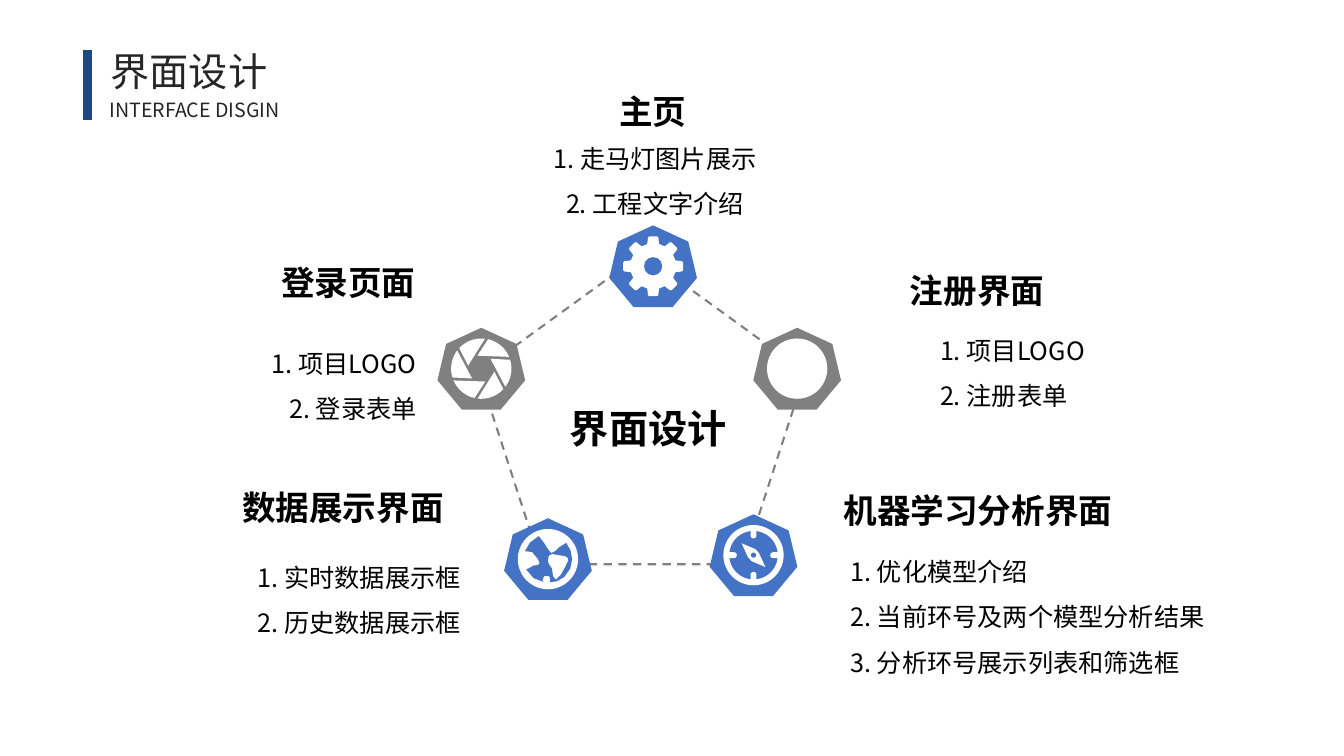
from math import cos, radians, sin

from lxml import etree
from pptx import Presentation
from pptx.dml.color import RGBColor
from pptx.enum.dml import MSO_LINE
from pptx.enum.shapes import MSO_CONNECTOR, MSO_SHAPE
from pptx.enum.text import MSO_ANCHOR, PP_ALIGN
from pptx.oxml.ns import qn
from pptx.util import Cm, Pt

LEFT, CENTER, RIGHT = PP_ALIGN.LEFT, PP_ALIGN.CENTER, PP_ALIGN.RIGHT
JUSTIFY = PP_ALIGN.JUSTIFY
TOP, MIDDLE = MSO_ANCHOR.TOP, MSO_ANCHOR.MIDDLE
PENTAGON, HEPTAGON = MSO_SHAPE.REGULAR_PENTAGON, MSO_SHAPE.HEPTAGON
OVAL, ROUNDED = MSO_SHAPE.OVAL, MSO_SHAPE.ROUNDED_RECTANGLE
STRAIGHT, DASH = MSO_CONNECTOR.STRAIGHT, MSO_LINE.DASH

FONT = "Noto Sans CJK SC"
BLUE, GRAY, WHITE = "4472C4", "808080", "FFFFFF"
NAVY, BLACK, DARK = "1C4885", "000000", "262626"
rgb = RGBColor.from_string

presentation = Presentation()
presentation.slide_width, presentation.slide_height = Cm(33.87), Cm(19.05)
slide = presentation.slides.add_slide(presentation.slide_layouts[6])


def polar(angle, radius):
    """Point at an angle in degrees, clockwise from the right."""
    return radius * cos(radians(angle)), radius * sin(radians(angle))


def add_part(center, outline, colour, width=0, height=0):
    """Add a preset, or a polygon given as points around the center, in cm."""
    x, y = center
    if isinstance(outline, list):
        points = [(Cm(x + dx), Cm(y + dy)) for dx, dy in outline]
        builder = slide.shapes.build_freeform(*points[0])
        builder.add_line_segments(points[1:])
        shape = builder.convert_to_shape()
    else:
        shape = slide.shapes.add_shape(
            outline, Cm(x - width / 2), Cm(y - height / 2), Cm(width), Cm(height))
    shape.shadow.inherit = False
    shape.fill.solid()
    shape.fill.fore_color.rgb = rgb(colour)
    shape.line.fill.background()
    return shape


# Title bar
bar = slide.shapes.add_connector(STRAIGHT, Cm(2.21), Cm(1.27), Cm(2.21), Cm(3.02))
bar.line.color.rgb = rgb(NAVY)
bar.line.width = Pt(6)
etree.SubElement(bar._element.spPr, qn("a:effectLst"))

# Dashed ring and the badges on its corners
ring = add_part((16.18, 10.31), PENTAGON, WHITE, 8.23, 7.82)
ring.fill.background()
ring.line.color.rgb = rgb(GRAY)
ring.line.width = Pt(1.5)
ring.line.dash_style = DASH

gear, aperture, register = (16.46, 6.71), (12.13, 9.29), (20.09, 9.29)
compass, globe = (18.99, 13.99), (13.81, 14.09)
badges = [(register, GRAY), (gear, BLUE), (aperture, GRAY), (compass, BLUE), (globe, BLUE)]
for center, colour in badges:
    add_part(center, HEPTAGON, colour, 2.21, 2.06)
for center in (register, compass, globe):
    add_part(center, OVAL, WHITE, 1.52, 1.52)

# Gear: eight teeth and a hub
tooth = [(-15, 0.58), (-10, 0.74), (-7, 0.76), (7, 0.76), (10, 0.74), (15, 0.58)]
add_part(gear, [polar(turn + angle, radius)
                for turn in range(0, 360, 45) for angle, radius in tooth], WHITE)
add_part(gear, OVAL, BLUE, 0.46, 0.46)

# Aperture: six blades
for turn in range(0, 360, 60):
    rim = [polar(turn + angle, 0.76) for angle in range(223, 278, 6)]
    add_part(aperture, [polar(turn + 193, 0.34)] + rim, WHITE)

# Compass: dial, four marks and a needle
add_part(compass, OVAL, BLUE, 1.22, 1.22)
for angle in range(0, 360, 90):
    dx, dy = polar(angle, 0.55)
    size = (0.15, 0.26) if angle % 180 else (0.26, 0.15)
    mark = add_part((compass[0] + dx, compass[1] + dy), ROUNDED, WHITE, *size)
    mark.adjustments[0] = 0.5
needle = [(-0.3, -0.3), (-0.14, 0.05), (-0.05, 0.15),
          (0.3, 0.3), (0.14, -0.05), (0.05, -0.15)]
add_part(compass, needle, WHITE)
add_part(compass, OVAL, BLUE, 0.13, 0.13)

# Globe: sea and land
sea = [(0.05, 0.58), (0.06, 0.5), (0.03, 0.43), (-0.1, 0.43), (-0.14, 0.55),
       (-0.1, 0.58), (-0.36, 0.48), (-0.55, 0.26), (-0.48, 0.23), (-0.36, 0.16),
       (-0.25, 0.15), (-0.21, 0.1), (-0.25, 0), (-0.4, -0.18), (-0.58, -0.2),
       (-0.45, -0.42), (-0.23, -0.58), (-0.1, -0.41), (0, -0.25), (0.08, -0.15),
       (0.18, -0.2), (0.28, -0.3), (0.38, -0.36), (0.46, -0.41), (0.57, -0.22),
       (0.61, 0), (0.56, 0.24), (0.41, 0.45), (0.22, 0.56)]
land = [(0.41, -0.08), (0.25, -0.1), (0.1, -0.13), (0.02, -0.08), (0, 0.05),
        (0.03, 0.13), (0.1, 0.23), (0.13, 0.43), (0.2, 0.51), (0.33, 0.38),
        (0.43, 0.2), (0.51, 0.03), (0.49, -0.04)]
add_part(globe, sea, BLUE)
add_part(globe, land, WHITE)

# Texts: left, top, width, height, alignment, anchor, size, bold, colour, spacing, lines
title = (TOP, 28, False, DARK, 1)
subtitle = (TOP, 14, False, DARK, 1)
hub = (MIDDLE, 28, True, BLACK, 1)
heading = (MIDDLE, 24, True, BLACK, 1)
details = (MIDDLE, 18, False, BLACK, 1.5)
texts = [
    (-2.11, 1.07, 13.74, 1.45, CENTER, title, ["界面设计"]),
    (2.51, 2.34, 5.99, 0.86, JUSTIFY, subtitle, ["INTERFACE DISGIN"]),
    (13.67, 10.24, 5.33, 1.07, CENTER, hub, ["界面设计"]),
    (12.95, 2.49, 7.01, 0.61, CENTER, heading, ["主页"]),
    (10.74, 3.23, 11.53, 2.29, CENTER, details, ["1. 走马灯图片展示", "2. 工程文字介绍"]),
    (4.42, 12.07, 7.01, 1.42, RIGHT, heading, ["数据展示界面"]),
    (5.05, 13.23, 6.81, 3.4, RIGHT, details, ["1. 实时数据展示框", "2. 历史数据展示框"]),
    (21.01, 12.17, 8.43, 1.35, LEFT, heading, ["机器学习分析界面"]),
    (21.18, 13.54, 11.53, 3.63, LEFT, details,
     ["1. 优化模型介绍", "2. 当前环号及两个模型分析结果", "3. 分析环号展示列表和筛选框"]),
    (3.71, 6.55, 7.01, 1.14, RIGHT, heading, ["登录页面"]),
    (1.91, 7.87, 8.84, 3.33, RIGHT, details, ["1. 项目LOGO", "2. 登录表单"]),
    (22.68, 6.81, 7.01, 1.02, LEFT, heading, ["注册界面"]),
    (23.44, 8.08, 9.75, 2.24, LEFT, details, ["1. 项目LOGO", "2. 注册表单"]),
]
for left, top, width, height, alignment, style, lines in texts:
    anchor, size, bold, colour, spacing = style
    box = slide.shapes.add_textbox(Cm(left), Cm(top), Cm(width), Cm(height))
    frame = box.text_frame
    frame.word_wrap = True
    frame.vertical_anchor = anchor
    frame.text = "\n".join(lines)
    for paragraph in frame.paragraphs:
        paragraph.alignment = alignment
        paragraph.line_spacing = spacing
        font = paragraph.font
        font.name, font.size, font.bold = FONT, Pt(size), bold
        font.color.rgb = rgb(colour)
        properties = paragraph._p.pPr.find(qn("a:defRPr"))
        etree.SubElement(properties, qn("a:ea"), typeface=FONT)

presentation.save("out.pptx")
